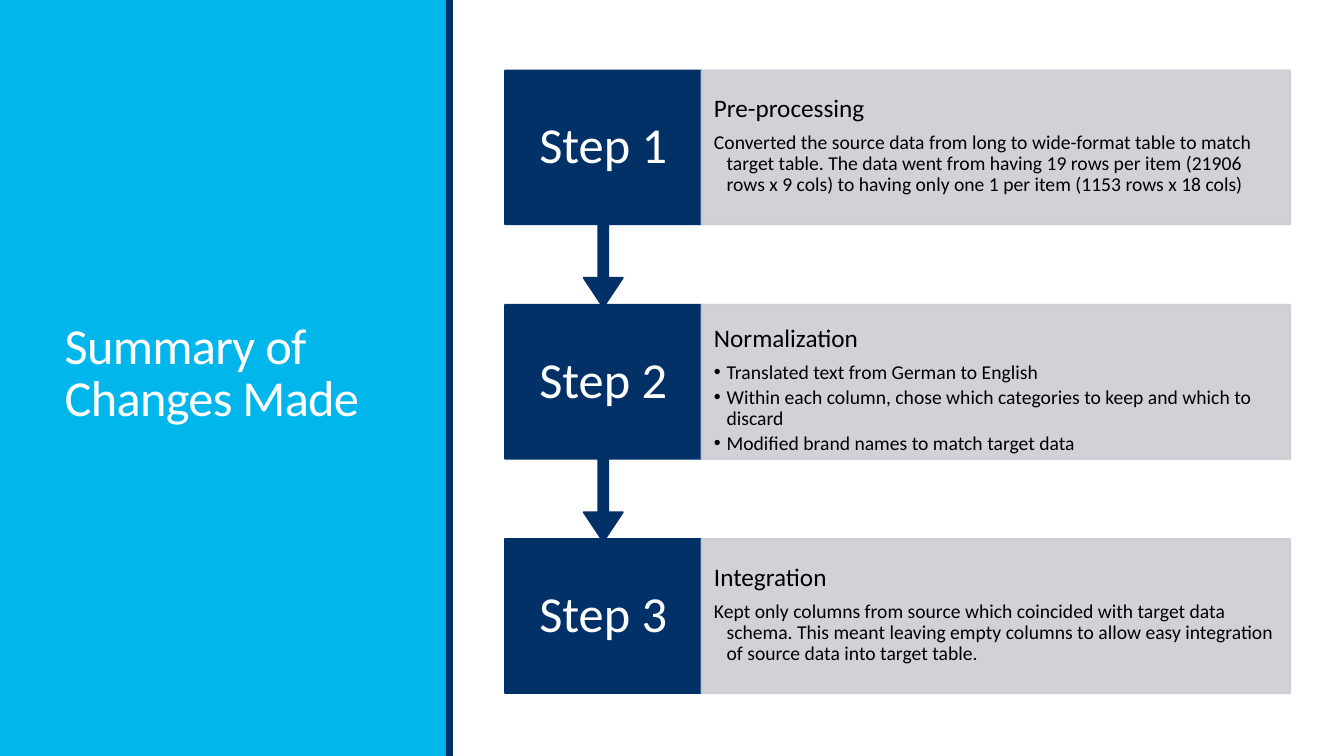
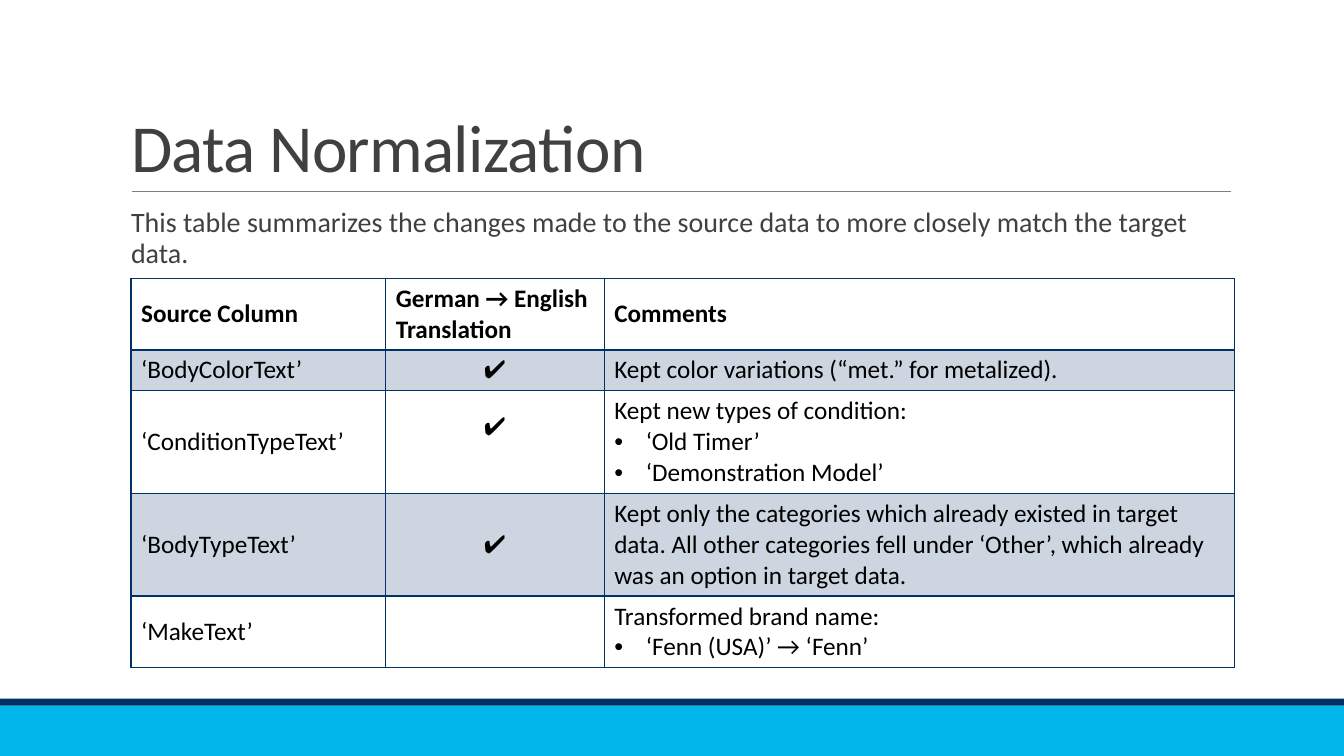
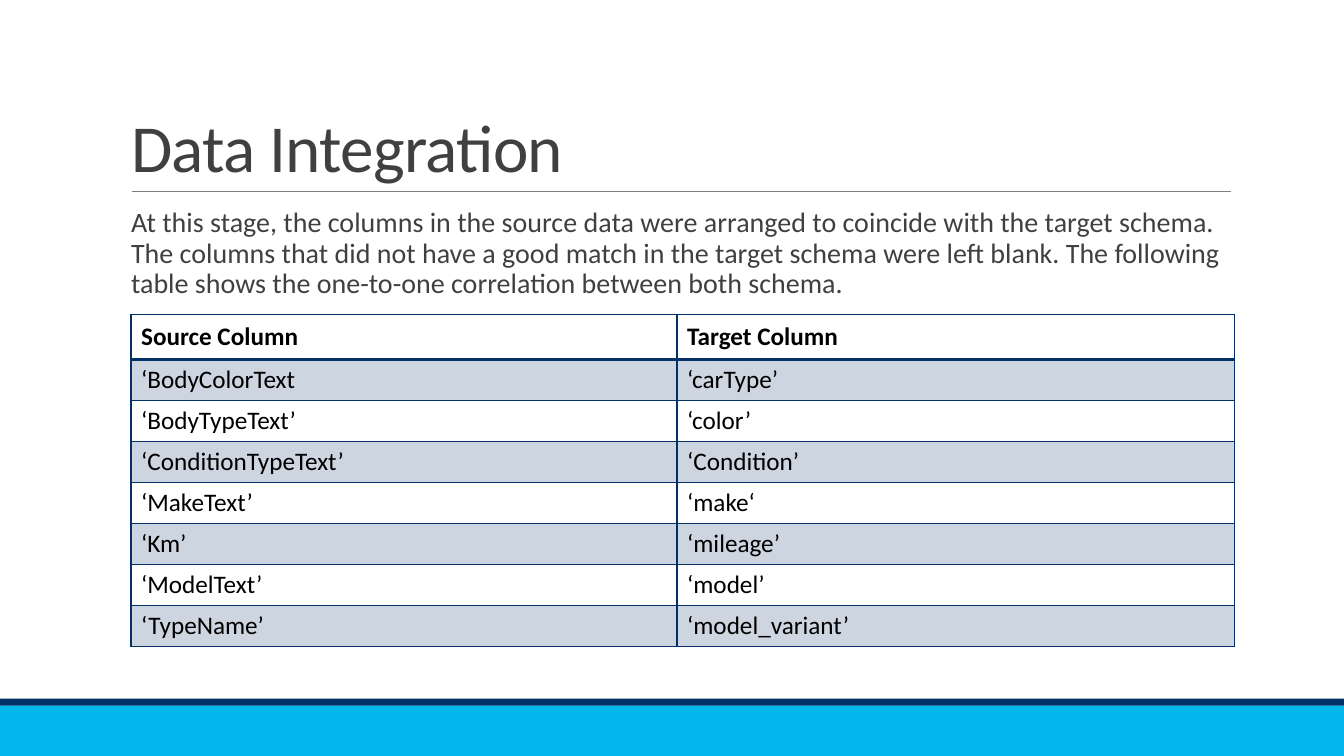
from lxml import etree
from pptx import Presentation
from pptx.dml.color import RGBColor
from pptx.enum import shapes, text
from pptx.oxml import ns
from pptx.util import Pt

CYAN, NAVY, SILVER = "01B6EB", "023168", "CCCED4"
WHITE, BLACK, CHARCOAL, GRAY = "FFFFFF", "000000", "404040", "808080"
WIDTH, HEIGHT = 960, 540


def paint(fill, color):
    fill.solid()
    fill.fore_color.rgb = RGBColor.from_string(color)


def write(paragraph, words, size, color, hang=0, bullet=False):
    paragraph.text = words
    properties = paragraph._p.get_or_add_pPr()
    properties.set("marL", str(Pt(hang)))
    properties.set("indent", str(-Pt(hang)))
    if bullet:
        etree.SubElement(properties, ns.qn("a:buFont"), typeface="Arial")
        etree.SubElement(properties, ns.qn("a:buChar"), char="•")
    else:
        etree.SubElement(properties, ns.qn("a:buNone"))
    paragraph.alignment = text.PP_ALIGN.LEFT
    paragraph.font.name = "Calibri"
    paragraph.font.size = Pt(size)
    paint(paragraph.font.fill, color)


steps = [
    ("Pre-processing", 18, [
        "Converted the source data from long to wide-format table to match target table. "
        "The data went from having 19 rows per item (21906 rows x 9 cols) to having only "
        "one 1 per item (1153 rows x 18 cols)"]),
    ("Normalization", 15, [
        "• Translated text from German to English",
        "• Within each column, chose which categories to keep and which to discard",
        "• Modified brand names to match target data"]),
    ("Integration", 18, [
        "Kept only columns from source which coincided with target data schema. This meant "
        "leaving empty columns to allow easy integration of source data into target table."]),
]

table_slides = [
    ("Data Normalization",
     "This table summarizes the changes made to the source data to more closely match "
     "the target data.",
     53, 198.7, [182, 156, 450], [51, 29.3, 73.3, 73.3, 51],
     [("Source Column", "German → English Translation", "Comments"),
      ("‘BodyColorText’", "✔", "Kept color variations (“met.” for metalized)."),
      ("‘ConditionTypeText’", "✔",
       "Kept new types of condition:\n• ‘Old Timer’\n• ‘Demonstration Model’"),
      ("‘BodyTypeText’", "✔",
       "Kept only the categories which already existed in target data. All other categories "
       "fell under ‘Other’, which already was an option in target data."),
      ("‘MakeText’", "", "Transformed brand name:\n• ‘Fenn (USA)’ → ‘Fenn’")]),
    ("Data Integration",
     "At this stage, the columns in the source data were arranged to coincide with the target "
     "schema. The columns that did not have a good match in the target schema were left blank. "
     "The following table shows the one-to-one correlation between both schema.",
     114, 224.5, [390, 398], [32.4] + [29.3] * 7,
     [("Source Column", "Target Column"),
      ("‘BodyColorText", "‘carType’"),
      ("‘BodyTypeText’", "‘color’"),
      ("‘ConditionTypeText’", "‘Condition’"),
      ("‘MakeText’", "‘make‘"),
      ("‘Km’", "‘mileage’"),
      ("‘ModelText’", "‘model’"),
      ("‘TypeName’", "‘model_variant’")]),
]

deck = Presentation()
deck.slide_width, deck.slide_height = Pt(WIDTH), Pt(HEIGHT)

summary = deck.slides.add_slide(deck.slide_layouts[5])
pages = [(summary, "Summary of Changes Made", (39, 41, 243, 454), 36, WHITE,
          text.MSO_ANCHOR.MIDDLE, [(0, 0, 319, HEIGHT, CYAN), (318.5, 0, 5, HEIGHT, NAVY)])]
for heading, *rest in table_slides:
    pages.append((deck.slides.add_slide(deck.slide_layouts[1]), heading,
                  (86.4, 22.5, 670, 114.3), 48, CHARCOAL, text.MSO_ANCHOR.BOTTOM,
                  [(0, 504, WIDTH, 36, CYAN), (0, 499, WIDTH, 5, NAVY)]))

for slide, heading, place, size, color, anchor, bands in pages:
    for left, top, width, height, band_color in bands:
        band = slide.shapes.add_shape(shapes.MSO_SHAPE.RECTANGLE,
                                      Pt(left), Pt(top), Pt(width), Pt(height))
        band.shadow.inherit = False
        paint(band.fill, band_color)
        band.line.fill.background()
    title = slide.shapes.title
    title.left, title.top, title.width, title.height = map(Pt, place)
    title.text_frame.auto_size = text.MSO_AUTO_SIZE.NONE
    title.text_frame.vertical_anchor = anchor
    line = title.text_frame.paragraphs[0]
    write(line, heading, size, color)
    line.line_spacing = 0.85
    line._p.pPr.find(ns.qn("a:defRPr")).set("spc", "-50")
    slide.shapes._spTree.append(title._element)

STEP_LEFT, STEP_WIDTH, STEP_HEIGHT, CALLOUT_HEIGHT = 360.7, 140.4, 110.2, 169.2
for index, (name, inset, details) in enumerate(steps):
    top = 50.3 + 167.4 * index
    last = index == len(steps) - 1
    label = summary.shapes.add_shape(
        shapes.MSO_SHAPE.RECTANGLE if last else shapes.MSO_SHAPE.DOWN_ARROW_CALLOUT,
        Pt(STEP_LEFT), Pt(top), Pt(STEP_WIDTH), Pt(STEP_HEIGHT if last else CALLOUT_HEIGHT))
    if not last:
        for position, ratio in enumerate((0.05, 0.1, 0.15, 0.65)):
            label.adjustments[position] = ratio
    card = summary.shapes.add_shape(
        shapes.MSO_SHAPE.RECTANGLE,
        Pt(STEP_LEFT + STEP_WIDTH), Pt(top), Pt(420.5), Pt(STEP_HEIGHT))
    for part, color in ((label, NAVY), (card, SILVER)):
        part.shadow.inherit = False
        paint(part.fill, color)
        paint(part.line.fill, color)
        part.line.width = Pt(1.25)
    for tint in card._element.spPr.iter(ns.qn("a:srgbClr")):
        etree.SubElement(tint, ns.qn("a:alpha"), val="90000")

    label.text_frame.vertical_anchor = text.MSO_ANCHOR.MIDDLE
    line = label.text_frame.paragraphs[0]
    write(line, f"Step {index + 1}", 36, WHITE)
    line.alignment = text.PP_ALIGN.CENTER
    line.line_spacing = 0.9

    frame = card.text_frame
    frame.vertical_anchor = text.MSO_ANCHOR.TOP
    frame.margin_left = frame.margin_right = Pt(8.9)
    frame.margin_top = Pt(inset)
    frame.margin_bottom = 0
    write(frame.paragraphs[0], name, 18, BLACK)
    frame.paragraphs[0].space_after = Pt(7)
    for detail in details:
        write(frame.add_paragraph(), detail.removeprefix("• "), 14, BLACK, 9,
              detail.startswith("• "))
        frame.paragraphs[-1].space_after = Pt(2.5)
    for line in frame.paragraphs:
        line.line_spacing = 0.9

for (slide, *_), (_, intro, intro_height, top, widths, heights, rows) in zip(pages[1:], table_slides):
    rule = slide.shapes.add_connector(shapes.MSO_CONNECTOR.STRAIGHT,
                                      Pt(94.3), Pt(136.8), Pt(879), Pt(136.8))
    paint(rule.line.fill, GRAY)
    rule.line.width = Pt(0.5)
    etree.SubElement(rule._element.spPr, ns.qn("a:effectLst"))

    body = slide.placeholders[1]
    body.left, body.top, body.width, body.height = map(Pt, (93.6, 145.4, 788, intro_height))
    frame = body.text_frame
    frame.auto_size = text.MSO_AUTO_SIZE.NONE
    frame.margin_left = frame.margin_right = 0
    write(frame.paragraphs[0], intro, 20, CHARCOAL)
    frame.paragraphs[0].line_spacing = 0.9
    frame.paragraphs[0].space_before = Pt(12)
    frame.paragraphs[0].space_after = Pt(2)

    table = slide.shapes.add_table(len(rows), len(widths), Pt(93.6), Pt(top),
                                   Pt(sum(widths)), Pt(sum(heights))).table
    table.first_row = table.horz_banding = False
    for column, width in zip(table.columns, widths):
        column.width = Pt(width)
    for r, (row, height) in enumerate(zip(rows, heights)):
        table.rows[r].height = Pt(height)
        for c, content in enumerate(row):
            cell = table.cell(r, c)
            cell.vertical_anchor = text.MSO_ANCHOR.MIDDLE
            for i, words in enumerate(content.split("\n")):
                line = cell.text_frame.add_paragraph() if i else cell.text_frame.paragraphs[0]
                bullet = words.startswith("• ")
                write(line, words.removeprefix("• "), 18, BLACK, 22.5 if bullet else 0, bullet)
                line.font.bold = r == 0 or words == "✔"
                if words == "✔":
                    line.alignment = text.PP_ALIGN.CENTER
            properties = cell._tc.get_or_add_tcPr()
            if r % 2:
                paint(cell.fill, NAVY)
                for tint in properties.iter(ns.qn("a:srgbClr")):
                    etree.SubElement(tint, ns.qn("a:alpha"), val="20000")
            else:
                cell.fill.background()
            for order, edge in enumerate("LRTB"):
                thick = (r, edge) in ((0, "B"), (1, "T"))
                border = etree.Element(ns.qn(f"a:ln{edge}"), w=str(Pt(2 if thick else 1)))
                ink = etree.SubElement(border, ns.qn("a:solidFill"))
                etree.SubElement(ink, ns.qn("a:srgbClr"), val=NAVY)
                properties.insert(order, border)
    if len(widths) == 3:
        table.cell(2, 1).margin_bottom = Pt(25)

deck.save("out.pptx")
